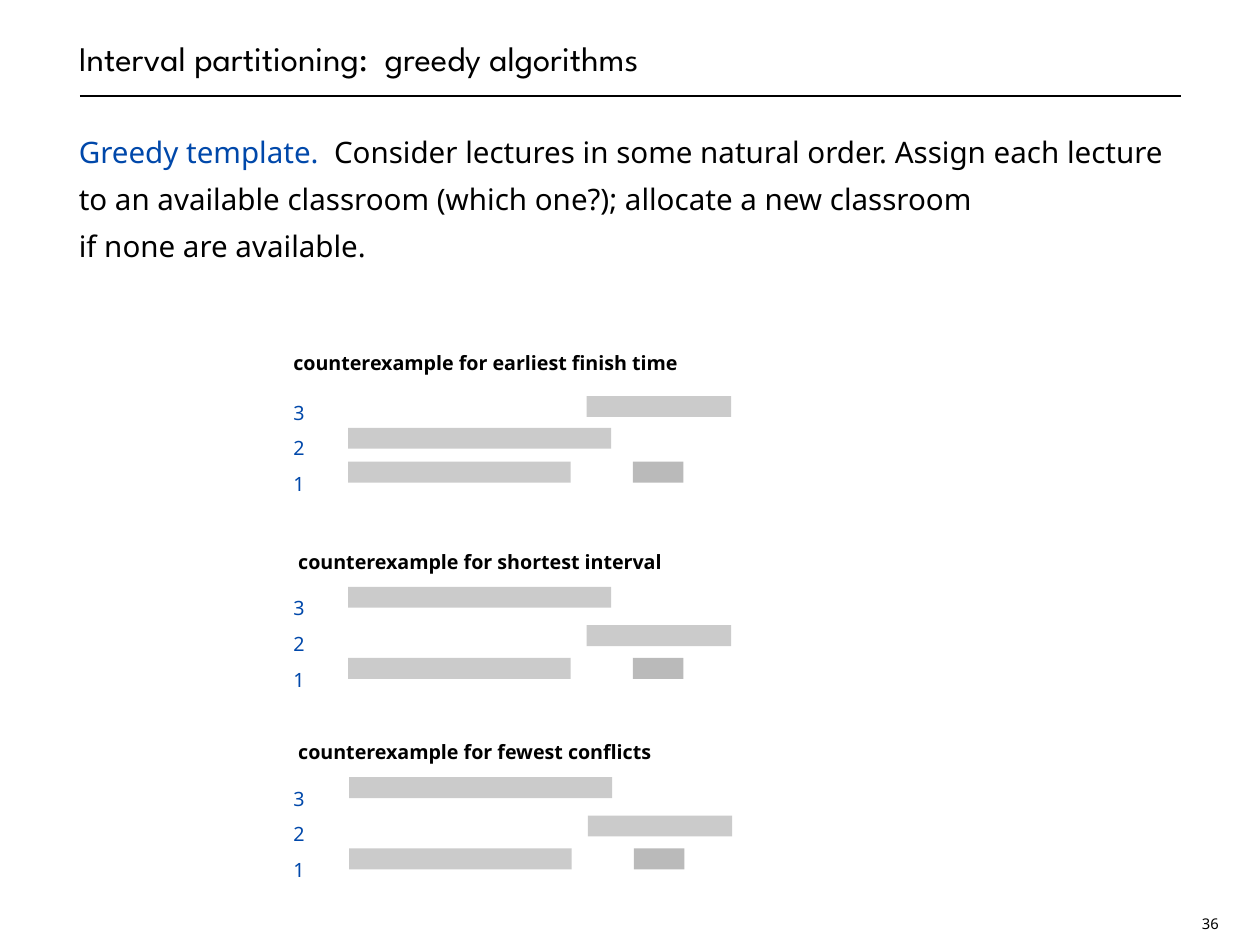
from dataclasses import dataclass

from pptx import Presentation
from pptx.dml.color import RGBColor
from pptx.enum.shapes import MSO_CONNECTOR, MSO_SHAPE
from pptx.enum.text import MSO_ANCHOR as ANCHOR, MSO_AUTO_SIZE as AUTO, PP_ALIGN as ALIGN
from pptx.oxml.ns import qn
from pptx.util import Cm, Pt
from lxml.etree import SubElement

# Content
TITLE = "Interval partitioning:  greedy algorithms"
TEMPLATE_NAME = "Greedy template.  "
TEMPLATE_LINES = [
    "Consider lectures in some natural order. Assign each lecture "
    "to an available classroom (which one?); allocate a new classroom",
    "if none are available.",
]
PAGE_NUMBER = "36"
CLASSROOMS = ["3", "2", "1"]

# Lectures, in cm: start, length, colour role
LONG = (9.98, 7.54, "lecture")
MEDIUM = (9.98, 6.38, "lecture")
LATE = (16.82, 4.14, "lecture")
BRIEF = (18.14, 1.45, "brief_lecture")

# Bar offsets from the top of the first classroom number, in cm
EVEN_ROWS = (0.08, 0.99, 1.96)
WIDE_ROWS = (-0.06, 1.04, 1.98)

# Heading, heading (left, top, width), numbers top, bar shift, bar offsets, lectures by classroom
COUNTEREXAMPLES = [
    ("counterexample for earliest finish time", (8.41, 9.86, 11.35), 11.28, 0,
     EVEN_ROWS, [[LATE], [LONG], [MEDIUM, BRIEF]]),
    ("counterexample for shortest interval", (8.55, 15.57, 10.72), 16.89, 0,
     WIDE_ROWS, [[LONG], [LATE], [MEDIUM, BRIEF]]),
    ("counterexample for fewest conflicts", (8.55, 21.01, 10.46), 22.35, 0.03,
     WIDE_ROWS, [[LONG], [LATE], [MEDIUM, BRIEF]]),
]


@dataclass(frozen=True)
class Theme:
    ink: str = "000000"
    accent: str = "0048AA"
    lecture: str = "CBCBCB"
    brief_lecture: str = "BABABA"
    title_font: str = "League Spartan"
    text_font: str = "Noto Sans"
    title_size: int = 28
    body_size: int = 24
    label_size: int = 16
    page_size: int = 12


THEME = Theme()

# Layout, in cm
SLIDE_W, SLIDE_H = 36.12, 27.1
MARGIN, CONTENT_W = 2.26, 31.6
RULE_LEFT, RULE_RIGHT, RULE_Y = 2.29, 33.86, 2.75
NUMBER_LEFT, NUMBER_STEP = 8.41, 1.03
BAR_H = 0.6


def add_run(paragraph, text, size, color, font=THEME.text_font, bold=False):
    run = paragraph.add_run()
    run.text = text
    run.font.size = Pt(size)
    run.font.name = font
    run.font.bold = bold
    run.font.color.rgb = RGBColor.from_string(color)


def add_text(shapes, left, top, width, height, spacing, label=False):
    """Add an empty text box and return its paragraph; labels grow around one line."""
    box = shapes.add_textbox(Cm(left), Cm(top), Cm(width), Cm(height))
    frame = box.text_frame
    frame.margin_left = frame.margin_right = 0
    frame.margin_top = frame.margin_bottom = 0
    frame.word_wrap = not label
    frame.auto_size = AUTO.SHAPE_TO_FIT_TEXT if label else AUTO.NONE
    paragraph = frame.paragraphs[0]
    paragraph.alignment = ALIGN.LEFT
    paragraph.line_spacing = spacing
    return box, paragraph


def add_bar(shapes, left, top, width, color):
    bar = shapes.add_shape(MSO_SHAPE.RECTANGLE, Cm(left), Cm(top), Cm(width), Cm(BAR_H))
    bar.shadow.inherit = False
    bar.fill.solid()
    bar.fill.fore_color.rgb = RGBColor.from_string(color)
    bar.line.fill.background()


def add_header(shapes):
    rule = shapes.add_connector(MSO_CONNECTOR.STRAIGHT, Cm(RULE_LEFT), Cm(RULE_Y),
                                Cm(RULE_RIGHT), Cm(RULE_Y))
    rule.line.color.rgb = RGBColor.from_string(THEME.ink)
    rule.line.width = Pt(1)
    SubElement(rule._element.spPr, qn("a:effectLst"))

    box, title = add_text(shapes, MARGIN, 0, CONTENT_W, 2.26, Pt(38))
    box.text_frame.vertical_anchor = ANCHOR.BOTTOM
    add_run(title, TITLE, THEME.title_size, THEME.ink, THEME.title_font)


def add_template(shapes):
    _, body = add_text(shapes, MARGIN, 3.53, CONTENT_W, 22.7, Pt(38))
    add_run(body, TEMPLATE_NAME, THEME.body_size, THEME.accent)
    for index, line in enumerate(TEMPLATE_LINES):
        if index:
            body.add_line_break()
        add_run(body, line, THEME.body_size, THEME.ink)


def add_counterexample(shapes, heading, place, top, shift, offsets, schedule):
    left, heading_top, width = place
    _, title = add_text(shapes, left, heading_top, width, 0.64, 1.3, label=True)
    add_run(title, heading, THEME.label_size, THEME.ink, bold=True)

    for row, (classroom, offset, lectures) in enumerate(zip(CLASSROOMS, offsets, schedule)):
        _, number = add_text(shapes, NUMBER_LEFT, top + row * NUMBER_STEP,
                             0.38, 0.51, 1.3, label=True)
        add_run(number, classroom, THEME.label_size, THEME.accent)
        for start, length, role in lectures:
            add_bar(shapes, start + shift, top + offset, length, getattr(THEME, role))


def main():
    deck = Presentation()
    deck.slide_width, deck.slide_height = Cm(SLIDE_W), Cm(SLIDE_H)
    slide = deck.slides.add_slide(deck.slide_layouts[6])

    # Title, rule and body text
    add_header(slide.shapes)
    add_template(slide.shapes)

    # One group for each counterexample
    for counterexample in COUNTEREXAMPLES:
        group = slide.shapes.add_group_shape()
        add_counterexample(group.shapes, *counterexample)

    # Page number, in a box wide enough for one line
    _, page = add_text(slide.shapes, 34.3, 26.26, 0.8, 0.5, Pt(14))
    page.alignment = ALIGN.CENTER
    add_run(page, PAGE_NUMBER, THEME.page_size, THEME.ink)

    deck.save("out.pptx")


if __name__ == "__main__":
    main()
